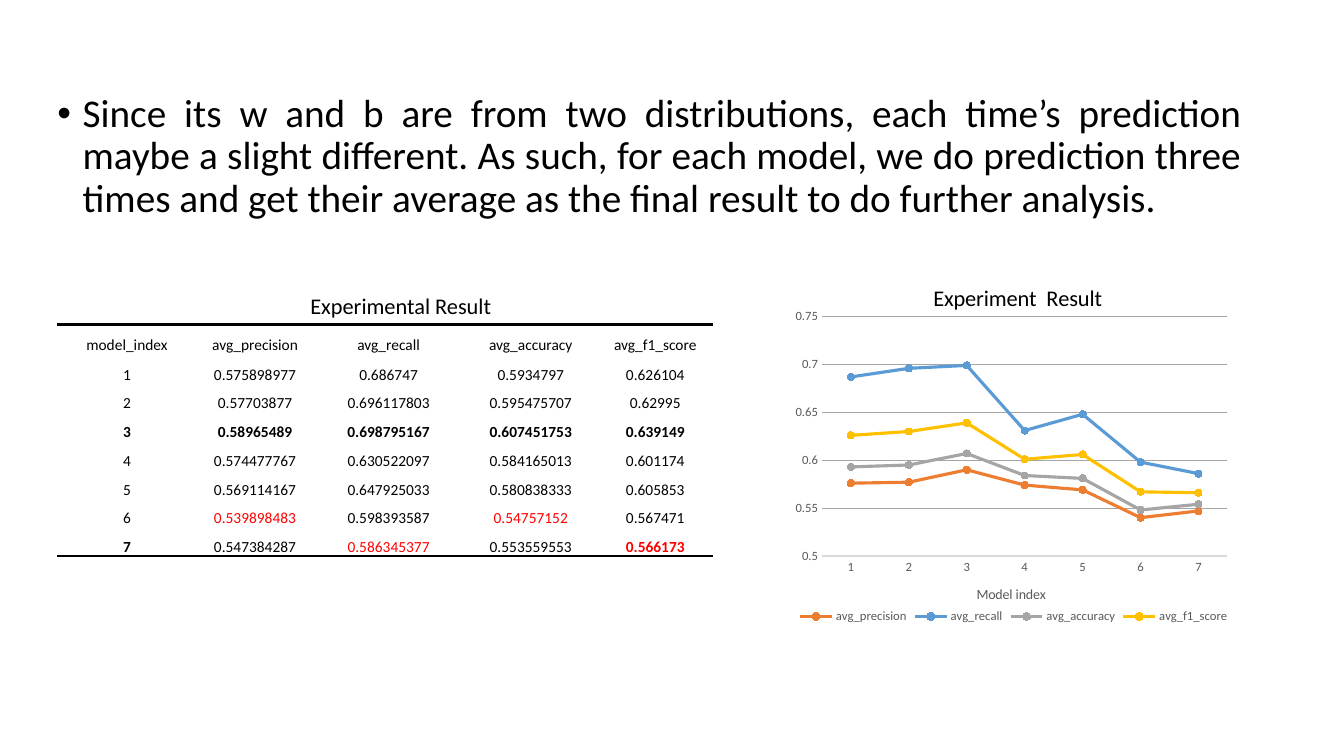
from pptx import Presentation
from pptx.chart.data import CategoryChartData
from pptx.dml.color import RGBColor
from pptx.enum.chart import XL_CHART_TYPE as ChartType, XL_LEGEND_POSITION as LegendPosition
from pptx.enum.chart import XL_MARKER_STYLE as MarkerStyle, XL_TICK_MARK as TickMark
from pptx.enum.text import MSO_ANCHOR as Anchor, PP_ALIGN as Align
from pptx.oxml import parse_xml
from pptx.oxml.ns import nsdecls, qn
from pptx.util import Inches, Pt

BLACK = RGBColor(0x00, 0x00, 0x00)
WHITE = RGBColor(0xFF, 0xFF, 0xFF)
RED = RGBColor(0xFF, 0x00, 0x00)
LABEL_GREY = RGBColor(0x59, 0x59, 0x59)
GRID_GREY = RGBColor(0xA6, 0xA6, 0xA6)
AXIS_GREY = RGBColor(0xD9, 0xD9, 0xD9)
SERIES_COLORS = [RGBColor(0xED, 0x7D, 0x31), RGBColor(0x5B, 0x9B, 0xD5),
                 RGBColor(0xA5, 0xA5, 0xA5), RGBColor(0xFF, 0xC0, 0x00)]
FONT = "Calibri"

STATEMENT = ("Since its w and b are from two distributions, each time’s prediction maybe "
             "a slight different. As such, for each model, we do prediction three times "
             "and get their average as the final result to do further analysis.")
HEADER = ["model_index", "avg_precision", "avg_recall", "avg_accuracy", "avg_f1_score"]
RESULTS = [
    ["1", "0.575898977", "0.686747", "0.5934797", "0.626104"],
    ["2", "0.57703877", "0.696117803", "0.595475707", "0.62995"],
    ["3", "0.58965489", "0.698795167", "0.607451753", "0.639149"],
    ["4", "0.574477767", "0.630522097", "0.584165013", "0.601174"],
    ["5", "0.569114167", "0.647925033", "0.580838333", "0.605853"],
    ["6", "0.539898483", "0.598393587", "0.54757152", "0.567471"],
    ["7", "0.547384287", "0.586345377", "0.553559553", "0.566173"],
]
COLUMN_WIDTHS = [1.38, 1.16, 1.49, 1.33, 1.14]
LOWEST = {(6, 1), (6, 3), (7, 2), (7, 4)}
BOLD = {(3, column) for column in range(5)} | {(7, 0), (7, 4)}


def style_font(font, size, color, bold=False):
    font.name = FONT
    font.size = Pt(size)
    font.bold = bold
    font.color.rgb = color


def add_statement(slide, left, top, width, height):
    body = slide.placeholders[1]
    body.left, body.top = Inches(left), Inches(top)
    body.width, body.height = Inches(width), Inches(height)
    body.text_frame.text = STATEMENT
    paragraph = body.text_frame.paragraphs[0]
    paragraph.alignment = Align.JUSTIFY
    paragraph.line_spacing = 0.9
    paragraph.space_before = Pt(10)
    style_font(paragraph.runs[0].font, 28, BLACK)
    # Hanging bullet
    properties = paragraph._p.get_or_add_pPr()
    properties.set("marL", str(Inches(0.25)))
    properties.set("indent", str(Inches(-0.25)))
    properties.append(parse_xml(f'<a:buFont {nsdecls("a")} typeface="Arial"/>'))
    properties.append(parse_xml(f'<a:buChar {nsdecls("a")} char="•"/>'))


def set_borders(cell, ruled_side):
    properties = cell._tc.get_or_add_tcPr()
    for index, side in enumerate(["lnL", "lnR", "lnT", "lnB"]):
        if side == ruled_side:
            paint = f'<a:solidFill><a:srgbClr val="{BLACK}"/></a:solidFill>'
        else:
            paint = "<a:noFill/>"
        properties.insert(index, parse_xml(
            f'<a:{side} {nsdecls("a")} w="{Pt(2)}">{paint}</a:{side}>'))


def add_result_table(slide, left, top, width, height):
    # Caption
    caption = slide.shapes.add_textbox(
        Inches(left + 2.41), Inches(top), Inches(2.02), Inches(0.37))
    caption.text_frame.word_wrap = False
    caption.text_frame.text = "Experimental Result"
    style_font(caption.text_frame.paragraphs[0].runs[0].font, 16, BLACK)

    # Table ruled only at its top and bottom
    rows = [HEADER] + RESULTS
    table = slide.shapes.add_table(
        len(rows), len(HEADER), Inches(left), Inches(top + 0.37),
        Inches(width), Inches(height - 0.37)).table
    table.first_row = table.horz_banding = False
    for column, column_width in zip(table.columns, COLUMN_WIDTHS):
        column.width = Inches(column_width)
    for row_index, values in enumerate(rows):
        table.rows[row_index].height = Inches(0.21 if row_index else 0.3)
        ruled_side = {0: "lnT", len(RESULTS): "lnB"}.get(row_index)
        for column_index, value in enumerate(values):
            cell = table.cell(row_index, column_index)
            cell.text_frame.text = value
            cell.vertical_anchor = Anchor.MIDDLE
            cell.margin_left = cell.margin_right = cell.margin_top = Inches(0.01)
            cell.margin_bottom = 0
            cell.fill.solid()
            cell.fill.fore_color.rgb = WHITE
            set_borders(cell, ruled_side)
            paragraph = cell.text_frame.paragraphs[0]
            paragraph.alignment = Align.CENTER
            paragraph.line_spacing = 1.5
            position = (row_index, column_index)
            style_font(paragraph.runs[0].font, 11,
                       RED if position in LOWEST else BLACK, position in BOLD)


def set_layout(element, index, target="", **fractions):
    previous = element.find(qn("c:layout"))
    if previous is not None:
        element.remove(previous)
    modes = "".join(f'<c:{axis}Mode val="edge"/>' for axis in "xy")
    sizes = "".join(f'<c:{key} val="{value}"/>' for key, value in fractions.items())
    element.insert(index, parse_xml(
        f'<c:layout {nsdecls("c")}><c:manualLayout>{target}{modes}{sizes}'
        '</c:manualLayout></c:layout>'))


def set_title(title, text, size, color, x, y):
    title.text_frame.text = text
    style_font(title.text_frame.paragraphs[0].runs[0].font, size, color)
    set_layout(title._element, 1, x=x, y=y)


def add_result_chart(slide, left, top, width, height):
    data = CategoryChartData()
    data.categories = [row[0] for row in RESULTS]
    for column, name in enumerate(HEADER[1:], 1):
        data.add_series(name, [round(float(row[column]), 3) for row in RESULTS])
    chart = slide.shapes.add_chart(
        ChartType.LINE_MARKERS, Inches(left), Inches(top),
        Inches(width), Inches(height), data).chart
    style_font(chart.font, 10, BLACK)
    set_title(chart.chart_title, "Experiment  Result", 16, BLACK, 0.33, 0.07)
    set_layout(chart._chartSpace.chart.plotArea, 0, '<c:layoutTarget val="inner"/>',
               x=0.114, y=0.172, w=0.816, h=0.637)

    # Axes
    categories, values = chart.category_axis, chart.value_axis
    for axis in (categories, values):
        axis.major_tick_mark = axis.minor_tick_mark = TickMark.NONE
        style_font(axis.tick_labels.font, 9, LABEL_GREY)
    set_title(categories.axis_title, "Model index", 10, LABEL_GREY, 0.42, 0.88)
    categories.format.line.color.rgb = AXIS_GREY
    categories.format.line.width = Pt(0.75)
    values.minimum_scale, values.maximum_scale = 0.5, 0.75
    values.major_unit = 0.05
    values.tick_labels.number_format = "General"
    values.tick_labels.number_format_is_linked = False
    values.format.line.fill.background()
    values.major_gridlines.format.line.color.rgb = GRID_GREY
    values.major_gridlines.format.line.width = Pt(0.75)

    # Legend
    chart.has_legend = True
    chart.legend.position = LegendPosition.BOTTOM
    chart.legend.include_in_layout = False
    style_font(chart.legend.font, 9, LABEL_GREY)

    # Series
    for series, color in zip(chart.plots[0].series, SERIES_COLORS):
        series.smooth = False
        series.format.line.color.rgb = color
        series.format.line.width = Pt(2.25)
        series.marker.style = MarkerStyle.CIRCLE
        series.marker.size = 5
        series.marker.format.fill.solid()
        series.marker.format.fill.fore_color.rgb = color
        series.marker.format.line.color.rgb = color


def main():
    presentation = Presentation()
    presentation.slide_width, presentation.slide_height = Inches(13.33), Inches(7.5)
    slide = presentation.slides.add_slide(presentation.slide_layouts[1])
    title = slide.shapes.title._element
    title.getparent().remove(title)
    add_statement(slide, 0.47, 0.88, 11.94, 5.88)
    add_result_table(slide, 0.57, 2.85, 6.5, 2.67)
    add_result_chart(slide, 7.59, 2.5, 4.93, 3.73)
    presentation.save("out.pptx")


if __name__ == "__main__":
    main()
